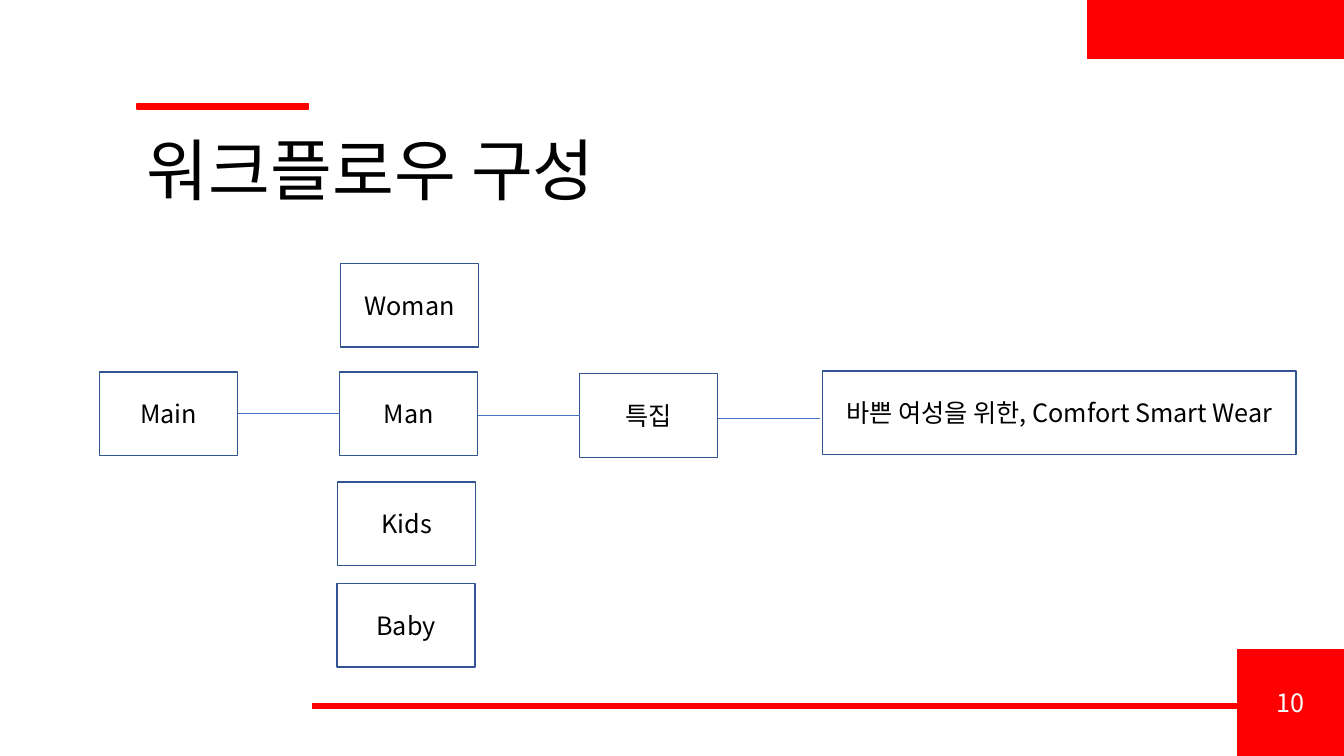
import pptx
import pptx.util
import pptx.dml.color
import pptx.enum.shapes
import pptx.enum.text
import pptx.oxml.ns
import lxml.etree

Pt = pptx.util.Pt
qn = pptx.oxml.ns.qn
FONT = "Noto Sans CJK KR"
COLORS = {"red": "FF0000", "border": "325491", "link": "4472C4",
          "black": "000000", "white": "FFFFFF"}


def rgb(name):
    return pptx.dml.color.RGBColor.from_string(COLORS[name])


def add_run(p, text, size, color):
    r = p.add_run()
    r.text = text
    r.font.size = Pt(size)
    r.font.name = FONT
    r.font.color.rgb = rgb(color)
    ea = lxml.etree.SubElement(r.font._element, qn("a:ea"))
    ea.set("typeface", FONT)


prs = pptx.Presentation()
prs.slide_width = Pt(960)
prs.slide_height = Pt(540)
s = prs.slides.add_slide(prs.slide_layouts[6])

tf = s.shapes.add_textbox(Pt(97.9), Pt(87.8), Pt(370.8), Pt(65.5)).text_frame
tf.word_wrap = False
tf.auto_size = pptx.enum.text.MSO_AUTO_SIZE.SHAPE_TO_FIT_TEXT
add_run(tf.paragraphs[0], "워크플로우 구성", 48, "black")

BOX_W, BOX_H = 98.6, 59.8
rects = [
    ("", 97.9, 74.2, 122.4, 3.6, "red"),
    ("", 776.9, 0, 183.1, 41.8, "red"),
    ("10", 884, 464, 76, 76, "red"),
    ("", 223, 502.6, 661, 3.6, "red"),
    ("Main", 71.2, 265.7, BOX_W, BOX_H, None),
    ("Man", 242.6, 265.7, BOX_W, BOX_H, None),
    ("특집", 414, 267, BOX_W, BOX_H, None),
    ("바쁜 여성을 위한, Comfort Smart Wear", 587.5, 265, 338.4, BOX_H, None),
    ("Woman", 243.4, 188.2, BOX_W, BOX_H, None),
    ("Kids", 241.2, 344.2, BOX_W, BOX_H, None),
    ("Baby", 240.7, 416.7, BOX_W, BOX_H, None),
]
boxes = {}
for text, x, y, w, h, fill in rects:
    sp = s.shapes.add_shape(pptx.enum.shapes.MSO_SHAPE.RECTANGLE,
                            Pt(x), Pt(y), Pt(w), Pt(h))
    sp.shadow.inherit = False
    sp.line.width = Pt(1)
    sp.line.color.rgb = rgb(fill or "border")
    if fill:
        sp.fill.solid()
        sp.fill.fore_color.rgb = rgb(fill)
    else:
        sp.fill.background()
    if text:
        tf = sp.text_frame
        tf.word_wrap = True
        tf.vertical_anchor = pptx.enum.text.MSO_ANCHOR.MIDDLE
        p = tf.paragraphs[0]
        p.alignment = pptx.enum.text.PP_ALIGN.CENTER
        add_run(p, text, 18, "white" if fill else "black")
        boxes[text] = sp

links = [
    (169.8, 242.6, 295.6, "Main", "Man"),
    (341.2, 414, 296.9, None, "특집"),
    (512.6, 585.4, 298.8, None, None),
]
for x1, x2, y, start, end in links:
    link = s.shapes.add_connector(pptx.enum.shapes.MSO_CONNECTOR.STRAIGHT,
                                  Pt(x1), Pt(y), Pt(x2), Pt(y))
    if start:
        link.begin_connect(boxes[start], 3)
    if end:
        link.end_connect(boxes[end], 1)
    link.line.width = Pt(0.5)
    link.line.color.rgb = rgb("link")
    lxml.etree.SubElement(link._element.spPr, qn("a:effectLst"))

prs.save("out.pptx")
